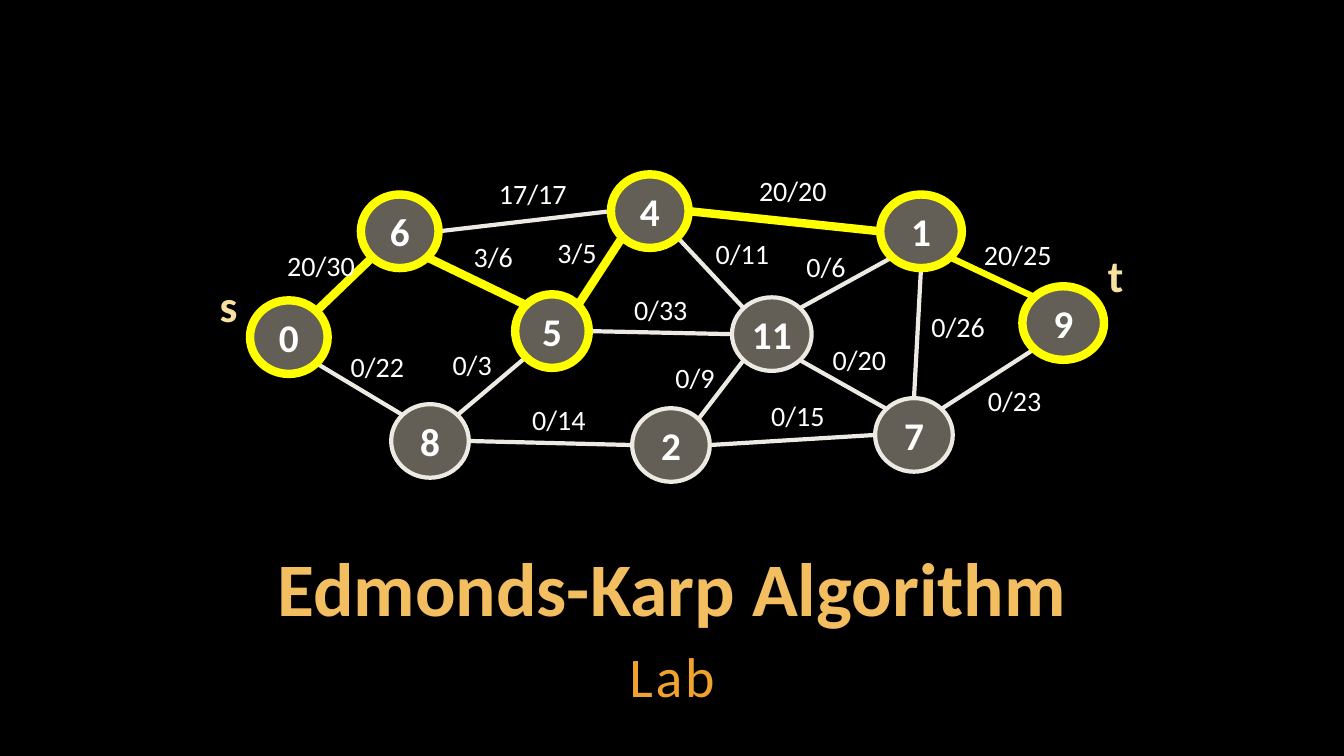
from dataclasses import dataclass

from lxml.etree import SubElement
from pptx import Presentation
from pptx.dml.color import RGBColor as RGB
from pptx.enum.shapes import MSO_CONNECTOR as Line, MSO_SHAPE as Shape
from pptx.enum.text import MSO_ANCHOR as Anchor, MSO_AUTO_SIZE as Fit, PP_ALIGN as Align
from pptx.oxml.ns import qn
from pptx.util import Inches, Pt


@dataclass(frozen=True)
class Theme:
    """Colours, type sizes and line widths."""
    font: str = "Calibri"
    back: str = "000000"
    title: str = "F3BE60"
    sub: str = "F0A22E"
    tag: str = "F8E19F"
    text: str = "FFFFFF"
    fill: str = "C7BFAC"
    edge: str = "ECEAE3"
    flow: str = "FFFF00"
    title_pt: int = 54
    sub_pt: int = 40
    tag_pt: int = 32
    node_pt: int = 28
    label_pt: int = 20
    thin: float = 3
    mid: float = 4.5
    thick: float = 6


T = Theme()
HIGH = 0.73
DIAG = 0.354
SITES = {
    "N": (0, -0.5), "S": (0, 0.5), "W": (-0.5, 0), "E": (0.5, 0),
    "NW": (-DIAG, -DIAG), "NE": (DIAG, -DIAG),
    "SW": (-DIAG, DIAG), "SE": (DIAG, DIAG),
}
NODES = {
    "11": (5.26, 1.45, 0.79, False), "1": (6.73, 0.43, 0.81, True),
    "4": (4.06, 0.23, 0.77, True), "5": (3.11, 1.42, 0.73, True),
    "8": (1.88, 2.51, 0.77, False), "2": (4.27, 2.55, 0.77, False),
    "7": (6.68, 2.45, 0.77, False), "6": (1.58, 0.43, 0.77, True),
    "0": (0.48, 1.48, 0.77, True), "9": (8.14, 1.34, 0.81, True),
}
EDGES = [
    ("11", "NE", "1", "SW", T.thin, "0/6", 5.9, 0.93),
    ("4", "E", "1", "W", T.thick, "20/20", 5.43, 0.17),
    ("11", "NW", "4", "SE", T.thin, "0/11", 5, 0.8),
    ("5", "E", "11", "W", T.thin, "0/33", 4.19, 1.35),
    ("4", "SW", "5", "NE", T.thick, "3/5", 3.43, 0.79),
    ("6", "E", "4", "W", T.thin, "17/17", 2.85, 0.2),
    ("5", "NW", "6", "SE", T.thick, "3/6", 2.6, 0.83),
    ("11", "SE", "7", "NW", T.thin, "0/20", 6.16, 1.85),
    ("2", "W", "8", "E", T.thin, "0/14", 3.18, 2.44),
    ("5", "SW", "8", "NE", T.thin, "0/3", 2.39, 1.9),
    ("2", "NE", "11", "SW", T.thin, "0/9", 4.6, 2.03),
    ("0", "NE", "6", "SW", T.thick, "20/30", 0.75, 0.92),
    ("7", "N", "1", "S", T.thin, "0/26", 7.14, 1.52),
    ("7", "W", "2", "E", T.thin, "0/15", 5.55, 2.4),
    ("0", "SE", "8", "NW", T.thin, "0/22", 1.38, 1.92),
    ("9", "NW", "1", "SE", T.mid, "20/25", 7.66, 0.81),
    ("9", "SW", "7", "NE", T.thin, "0/23", 7.7, 2.26),
]
TAGS = [("s", 0.08, 1.21, 0.38), ("t", 8.89, 0.91, 0.36)]


def style(para, size, color, bold=False):
    """Set the font of a whole paragraph."""
    font = para.font
    font.name, font.size, font.bold = T.font, Pt(size), bold
    font.color.rgb = RGB.from_string(color)


def stroke(line, width):
    """Draw thin lines pale and wider ones in the flow colour."""
    line.color.rgb = RGB.from_string(T.edge if width == T.thin else T.flow)
    line.width = Pt(width)


def label(slide, text, x, y, wide, high, size, color, bold=False):
    """Add a one-line text box that does not wrap."""
    frame = slide.shapes.add_textbox(
        Inches(x), Inches(y), Inches(wide), Inches(high)).text_frame
    frame.word_wrap, frame.auto_size = False, Fit.SHAPE_TO_FIT_TEXT
    frame.text = text
    style(frame.paragraphs[0], size, color, bold)


def site(name, side, left, top):
    """Find the point on a node's rim at a compass side."""
    x, y, wide, _ = NODES[name]
    dx, dy = SITES[side]
    return (Inches(left + x + wide * (0.5 + dx)),
            Inches(top + y + HIGH * (0.5 + dy)))


def edge(slide, start, end, width):
    """Join two points with a straight line."""
    line = slide.shapes.add_connector(Line.STRAIGHT, *start, *end)
    stroke(line.line, width)
    SubElement(line._element.spPr, qn("a:effectLst"))


def node(slide, name, left, top):
    """Add a numbered, half-transparent ellipse."""
    x, y, wide, lit = NODES[name]
    oval = slide.shapes.add_shape(
        Shape.OVAL, Inches(left + x), Inches(top + y), Inches(wide), Inches(HIGH))
    oval.shadow.inherit = False
    oval.fill.solid()
    oval.fill.fore_color.rgb = RGB.from_string(T.fill)
    tint = oval._element.spPr.find(qn("a:solidFill"))[0]
    SubElement(tint, qn("a:alpha"), val="50000")
    stroke(oval.line, T.thick if lit else T.thin)
    frame = oval.text_frame
    frame.margin_left = frame.margin_right = Inches(0.04)
    frame.vertical_anchor = Anchor.MIDDLE
    frame.text = name
    para = frame.paragraphs[0]
    para.alignment = Align.CENTER
    style(para, T.node_pt, T.text, True)


def graph(slide, left, top):
    """Draw the flow network from its top left corner."""
    for a, a_side, b, b_side, width, *_ in EDGES:
        edge(slide, site(a, a_side, left, top), site(b, b_side, left, top), width)
    for name in NODES:
        node(slide, name, left, top)
    for *_, text, x, y in EDGES:
        wide = 0.15 + 0.147 * len(text)
        label(slide, text, left + x, top + y, wide, 0.44, T.label_pt, T.text)
    for text, x, y, wide in TAGS:
        label(slide, text, left + x, top + y, wide, 0.64, T.tag_pt, T.tag, True)


def head(holder, text, box, anchor, size, color, bold, space):
    """Move, fill and format one placeholder."""
    holder.left, holder.top, holder.width, holder.height = map(Inches, box)
    frame = holder.text_frame
    frame.margin_left = frame.margin_right = Inches(0.04)
    frame.margin_top = frame.margin_bottom = Inches(0.04)
    frame.vertical_anchor, frame.auto_size = anchor, Fit.NONE
    frame.text = text
    para = frame.paragraphs[0]
    para.alignment, para.line_spacing, para.space_before = Align.CENTER, space, Pt(0)
    style(para, size, color, bold)
    return para


def titles(slide, left, top, wide):
    """Place the title and the spaced-out subtitle below it."""
    head(slide.shapes.title, "Edmonds-Karp Algorithm", (left, top, wide, 0.9),
         Anchor.BOTTOM, T.title_pt, T.title, True, 0.9)
    para = head(slide.placeholders[1], "Lab", (left, top + 0.87, wide, 0.79),
                Anchor.TOP, T.sub_pt, T.sub, False, 1.05)
    para.space_after = Pt(6)
    para.runs[0].font._element.set("spc", "200")


def main():
    """Build and save the slide."""
    deck = Presentation()
    deck.slide_width, deck.slide_height = Inches(13.33), Inches(7.5)
    slide = deck.slides.add_slide(deck.slide_layouts[0])
    fill = slide.background.fill
    fill.solid()
    fill.fore_color.rgb = RGB.from_string(T.back)
    titles(slide, 1, 5.42, 11.33)
    graph(slide, 2, 1.5)
    deck.save("out.pptx")


if __name__ == "__main__":
    main()
